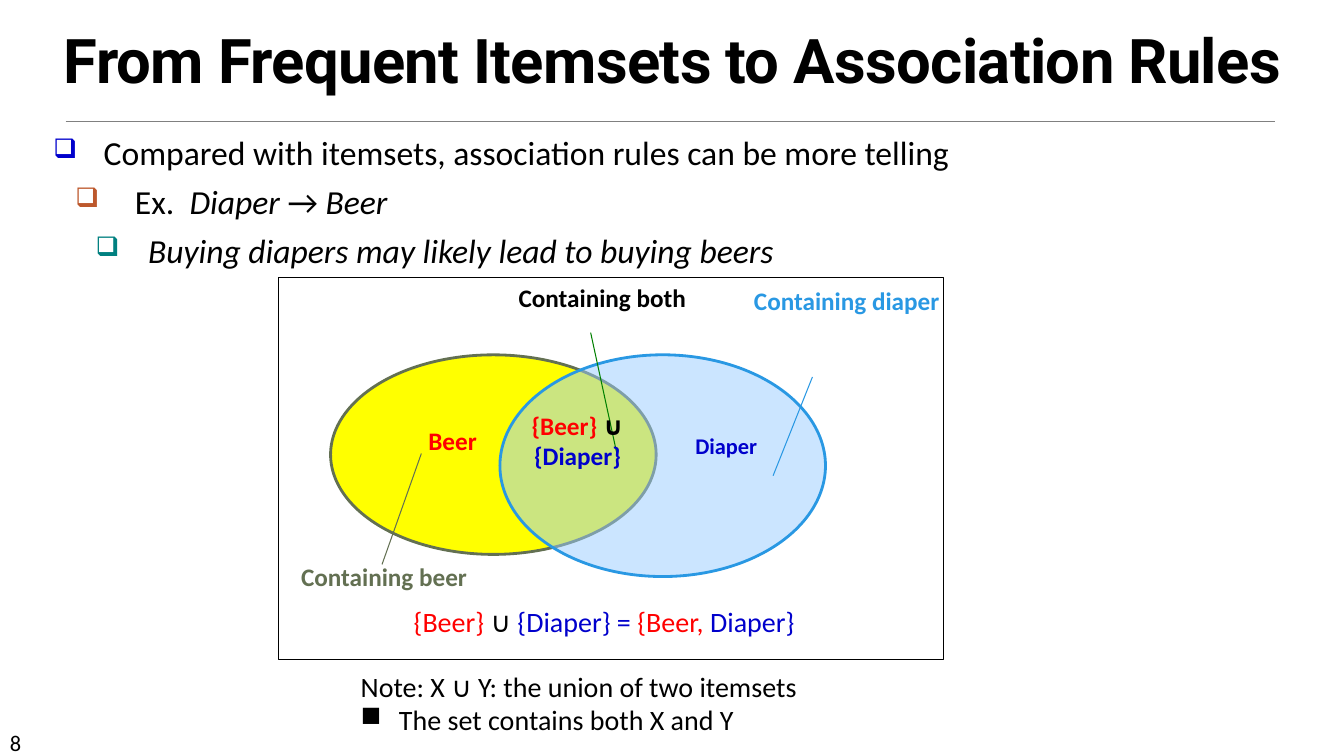
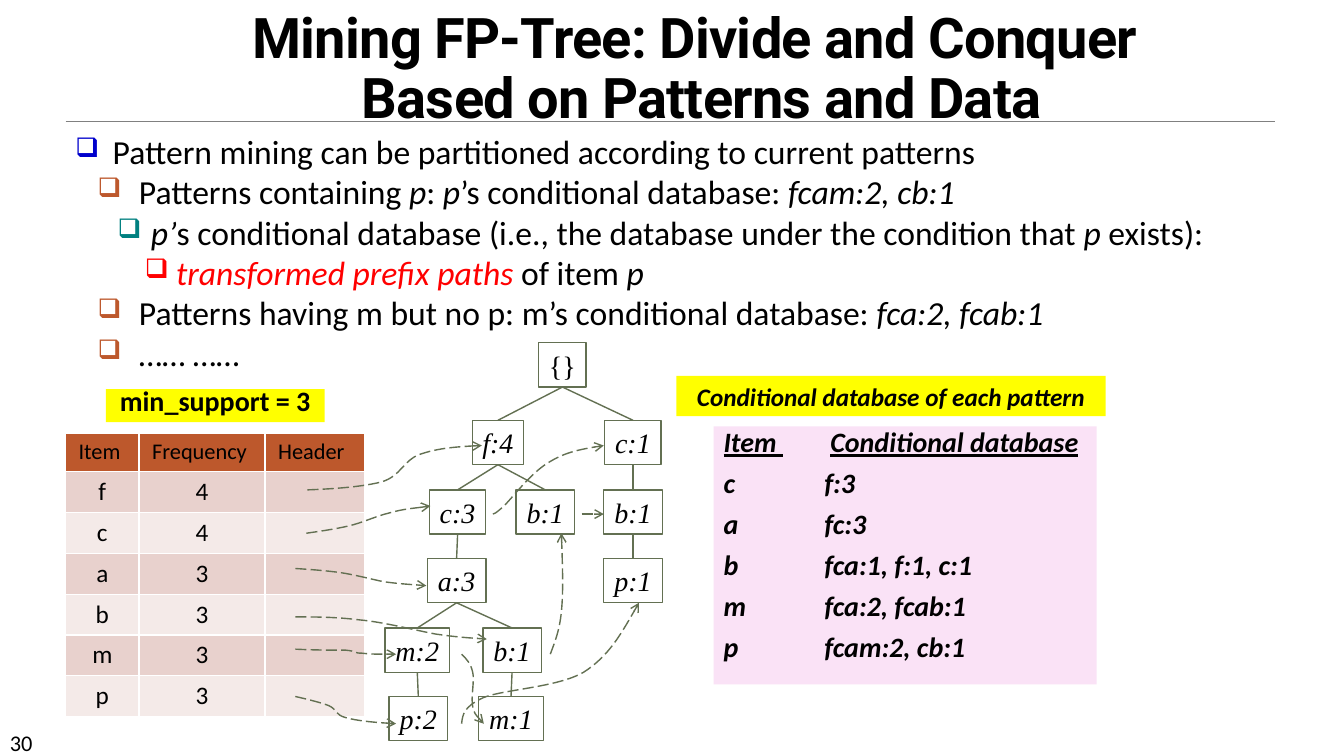
"""Build two slides on association rules and mining an FP-tree."""
import lxml.etree
import pptx
import pptx.dml.color
import pptx.enum.dml
import pptx.enum.shapes
import pptx.enum.text
import pptx.oxml.ns
import pptx.util

Inches = pptx.util.Inches
Pt = pptx.util.Pt
RGBColor = pptx.dml.color.RGBColor
SHAPE = pptx.enum.shapes.MSO_SHAPE
STRAIGHT = pptx.enum.shapes.MSO_CONNECTOR.STRAIGHT
MIDDLE = pptx.enum.text.MSO_ANCHOR.MIDDLE
LEFT = pptx.enum.text.PP_ALIGN.LEFT
CENTER = pptx.enum.text.PP_ALIGN.CENTER
qn = pptx.oxml.ns.qn

BLACK = RGBColor(0x00, 0x00, 0x00)
GRAY = RGBColor(0x80, 0x80, 0x80)
RED = RGBColor(0xFF, 0x00, 0x00)
BLUE = RGBColor(0x00, 0x00, 0xCC)
RUST = RGBColor(0xBD, 0x58, 0x2C)
TEAL = RGBColor(0x00, 0x80, 0x80)
GREEN = RGBColor(0x00, 0x80, 0x00)
OLIVE = RGBColor(0x63, 0x70, 0x52)
SKY = RGBColor(0x29, 0x98, 0xE3)
PALE_BLUE = RGBColor(0x99, 0xCC, 0xFF)
YELLOW = RGBColor(0xFF, 0xFF, 0x00)
PINK = RGBColor(0xFA, 0xE2, 0xF6)
ROW_DARK = RGBColor(0xE8, 0xD1, 0xCD)
ROW_LIGHT = RGBColor(0xF4, 0xEA, 0xE8)
LEVEL_COLORS = [BLUE, RUST, TEAL, RED]


def write(paragraph, runs, size, color=BLACK, name="Calibri", bold=False, italic=None, alignment=LEFT):
    """Fill a paragraph with runs, each a text followed by its own colour or font switches."""
    paragraph.alignment = alignment
    font = paragraph.font
    font.size, font.name, font.bold, font.italic = Pt(size), name, bold, italic
    font.color.rgb = color
    for text, *marks in runs:
        run = paragraph.add_run()
        run.text = text
        for mark in marks:
            if isinstance(mark, RGBColor):
                run.font.color.rgb = mark
            else:
                setattr(run.font, mark, True)


def draw_line(shape, color, width, arrow=False):
    """Style a line or outline without shadow; arrows are dashed."""
    shape.line.color.rgb = color
    shape.line.width = Pt(width)
    if arrow:
        shape.line.dash_style = pptx.enum.dml.MSO_LINE.LONG_DASH
        outline = shape._element.spPr.find(qn("a:ln"))
        lxml.etree.SubElement(outline, qn("a:tailEnd"), type="arrow")
    lxml.etree.SubElement(shape._element.spPr, qn("a:effectLst"))


presentation = pptx.Presentation()
presentation.slide_width = Inches(40 / 3)
presentation.slide_height = Inches(7.5)
layout = presentation.slide_layouts[5]

slide_frames = [
    ("8", "From Frequent Itemsets to Association Rules", 44, 0.85, (-0.11, 0.17, 13.56, 0.83)),
    ("30", "Mining FP-Tree: Divide and Conquer \vBased on Patterns and Data", 40, 0.9,
     (1.52, -0.09, 10.88, 1.44)),
]
for number, heading, size, spacing, box in slide_frames:
    slide = presentation.slides.add_slide(layout)
    title = slide.shapes.title
    title.left, title.top, title.width, title.height = map(Inches, box)
    frame = title.text_frame
    frame.auto_size = pptx.enum.text.MSO_AUTO_SIZE.NONE
    frame.vertical_anchor = pptx.enum.text.MSO_ANCHOR.BOTTOM
    paragraph = frame.paragraphs[0]
    paragraph.text = heading
    paragraph.line_spacing = spacing
    write(paragraph, [], size, name="Roboto", bold=True, alignment=CENTER)
    paragraph.font._element.set("spc", "-50")
    footer = slide.shapes.add_textbox(Inches(0), Inches(7.18), Inches(1.17), Inches(0.3))
    write(footer.text_frame.paragraphs[0], [(number,)], 16)

rules_slide, tree_slide = presentation.slides

rule = rules_slide.shapes.add_connector(STRAIGHT, Inches(0.65), Inches(1.2), Inches(12.65), Inches(1.2))
draw_line(rule, GRAY, 0.5)
layout.shapes._spTree.append(rule._element)

rules_outline = [
    (0, [("Compared with itemsets, association rules can be more telling",)]),
    (1, [("Ex.  ",), ("Diaper ", "italic"), ("→ ",), ("Beer", "italic")]),
    (2, [("Buying diapers may likely lead to buying beers", "italic")]),
]
tree_outline = [
    (0, [("Pattern mining can be partitioned according to current patterns",)]),
    (1, [("Patterns containing ",), ("p", "italic"), (": ",), ("p", "italic"),
         ("’s conditional database: ",), ("fcam:2, cb:1", "italic")]),
    (2, [("p’", "italic"), ("s conditional database (i.e., the database under the condition that ",),
         ("p", "italic"), (" exists):",)]),
    (3, [("transformed prefix paths ", RED, "italic"), ("of item ",), ("p", "italic")]),
    (1, [("Patterns having m but no p: m’s conditional database: ",), ("fca:2, fcab:1", "italic")]),
    (1, [("…… ……",)]),
]
bodies = [
    (rules_slide, rules_outline, (0.43, 1.26, 12.29, 6.11), 6, [(0.5, 0.5), (0.81, 0.59), (0.94, 0.52)]),
    (tree_slide, tree_outline, (0.65, 1.25, 11.67, 2.47), 0,
     [(0.37, 0.37), (0.63, 0.41), (0.75, 0.33), (1, 0.31)]),
]
for slide, outline, box, gap, indents in bodies:
    frame = slide.shapes.add_textbox(*map(Inches, box)).text_frame
    frame.word_wrap = True
    for index, (level, runs) in enumerate(outline):
        paragraph = frame.add_paragraph() if index else frame.paragraphs[0]
        paragraph.level = level
        margin, hanging = indents[level]
        properties = paragraph._p.get_or_add_pPr()
        properties.set("marL", str(Inches(margin)))
        properties.set("indent", str(-Inches(hanging)))
        bullet_color = lxml.etree.SubElement(properties, qn("a:buClr"))
        lxml.etree.SubElement(bullet_color, qn("a:srgbClr"), val=str(LEVEL_COLORS[level]))
        lxml.etree.SubElement(properties, qn("a:buSzPct"), val="80000")
        lxml.etree.SubElement(properties, qn("a:buFont"), typeface="Wingdings", charset="2")
        lxml.etree.SubElement(properties, qn("a:buChar"), char="q")
        paragraph.space_before = Pt(gap if index else 0)
        write(paragraph, runs, 24)

frame = rules_slide.shapes.add_textbox(Inches(3.48), Inches(6.59), Inches(4.72), Inches(0.77)).text_frame
frame.word_wrap = True
write(frame.paragraphs[0], [("Note: X ∪ Y: the union of two itemsets",)], 20)
paragraph = frame.add_paragraph()
properties = paragraph._p.get_or_add_pPr()
properties.set("marL", str(Inches(0.38)))
properties.set("indent", str(-Inches(0.38)))
lxml.etree.SubElement(properties, qn("a:buFont"), typeface="Wingdings", charset="2")
lxml.etree.SubElement(properties, qn("a:buChar"), char="n")
write(paragraph, [("The set contains both X and Y",)], 20)

venn_shapes = [
    (SHAPE.OVAL, (3.28, 3.52, 3.23, 1.98), YELLOW, OLIVE, 2),
    (SHAPE.OVAL, (4.96, 3.52, 3.23, 2.2), PALE_BLUE, SKY, 2),
    (SHAPE.RECTANGLE, (2.76, 2.75, 6.6, 3.79), None, BLACK, 0.75),
]
for kind, box, fill, color, width in venn_shapes:
    shape = rules_slide.shapes.add_shape(kind, *map(Inches, box))
    draw_line(shape, color, width)
    if fill is None:
        shape.fill.background()
        continue
    shape.fill.solid()
    shape.fill.fore_color.rgb = fill
    if fill == PALE_BLUE:
        fill_color = shape._element.spPr.find(qn("a:solidFill"))[0]
        lxml.etree.SubElement(fill_color, qn("a:alpha"), val="50000")

pointers = [
    ((4.18, 4.5, 3.79, 5.6), OLIVE),
    ((7.67, 4.72, 8.06, 3.74), SKY),
    ((6.12, 4.5, 5.86, 3.3), GREEN),
]
for ends, color in pointers:
    draw_line(rules_slide.shapes.add_connector(STRAIGHT, *map(Inches, ends)), color, 0.75)

venn_labels = [
    ((7.16, 2.78, 2.48, 1.08), 18, True, [("Containing diaper", SKY)]),
    ((4.79, 2.75, 2.37, 1.02), 18, True, [("Containing both",)]),
    ((2.57, 5.52, 2.48, 0.6), 18, True, [("Containing beer", OLIVE)]),
    ((3.87, 4.17, 1.24, 0.58), 18, True, [("Beer", RED)]),
    ((6.62, 4.24, 1.17, 0.53), 16, True, [("Diaper", BLUE)]),
    ((4.81, 4.02, 1.84, 1.02), 18, True, [("{Beer} ", RED), ("∪ ",), ("{Diaper}", BLUE)]),
    ((3.03, 5.95, 5.99, 0.63), 20, False,
     [("{Beer} ", RED), ("∪ ",), ("{Diaper} = ", BLUE), ("{Beer, ", RED), ("Diaper} ", BLUE)]),
]
for box, size, bold, runs in venn_labels:
    frame = rules_slide.shapes.add_textbox(*map(Inches, box)).text_frame
    frame.word_wrap = True
    write(frame.paragraphs[0], runs, size, bold=bold, alignment=CENTER)

item_rows = [("Item", "Frequency", "Header")]
item_rows += [(item, count, "") for item, count in zip("fcabmp", "443333")]
table = tree_slide.shapes.add_table(
    len(item_rows), 3, Inches(0.65), Inches(4.3), Inches(2.97), Inches(2.81)).table
for column, width in zip(table.columns, (0.73, 1.25, 0.99)):
    column.width = Inches(width)
for row_index, values in enumerate(item_rows):
    table.rows[row_index].height = Inches(2.43 / 6 if row_index else 0.38)
    for column_index, value in enumerate(values):
        cell = table.cell(row_index, column_index)
        cell.margin_left = cell.margin_right = Inches(0.13)
        cell.fill.solid()
        cell.fill.fore_color.rgb = (ROW_DARK if row_index % 2 else ROW_LIGHT) if row_index else RUST
        if value:
            write(cell.text_frame.paragraphs[0], [(value,)], 18 if row_index else 16,
                  alignment=CENTER if row_index else LEFT)

level_tops = [3.4, 4.17, 4.86, 5.54, 6.23, 6.91]
tree_nodes = [
    ("{}", 5.58, 0, 0.47, None),
    ("f:4", 4.94, 1, 0.51, 0),
    ("c:1", 6.28, 1, 0.56, 0),
    ("c:3", 4.54, 2, 0.56, 1),
    ("b:1", 5.41, 2, 0.58, 1),
    ("b:1", 6.28, 2, 0.58, 2),
    ("a:3", 4.53, 3, 0.58, 3),
    ("p:1", 6.28, 3, 0.58, 5),
    ("m:2", 4.14, 4, 0.64, 6),
    ("b:1", 5.08, 4, 0.58, 6),
    ("p:2", 4.15, 5, 0.58, 8),
    ("m:1", 5.07, 5, 0.64, 9),
]
node_shapes = []
for text, center, level, width, parent in tree_nodes:
    node = tree_slide.shapes.add_shape(
        SHAPE.RECTANGLE, Inches(center - width / 2), Inches(level_tops[level]), Inches(width), Inches(0.44))
    node.fill.background()
    draw_line(node, OLIVE, 1)
    node.text_frame.word_wrap = False
    node.text_frame.vertical_anchor = MIDDLE
    write(node.text_frame.paragraphs[0], [(text,)], 20, name="Times New Roman",
          italic=level > 0, alignment=CENTER)
    node_shapes.append(node)
    if parent is not None:
        edge = tree_slide.shapes.add_connector(STRAIGHT, 0, 0, 0, 0)
        edge.begin_connect(node_shapes[parent], 2)
        edge.end_connect(node, 0)
        draw_line(edge, OLIVE, 1)

header_links = [
    [(3.05, 4.86), (3.32, 4.85), (3.6, 4.83), (3.79, 4.78), (3.98, 4.72), (4, 4.57), (4.16, 4.51),
     (4.33, 4.45), (4.55, 4.43), (4.78, 4.42)],
    [(4.89, 5.1), (4.9, 5.1), (4.91, 5.1), (5, 5.02), (5.09, 4.93), (5.27, 4.69), (5.44, 4.59),
     (5.6, 4.49), (5.79, 4.45), (5.99, 4.42)],
    [(2.93, 5.64), (3.08, 5.65), (3.22, 5.66), (3.37, 5.68), (3.51, 5.7), (3.66, 5.74), (3.8, 5.77),
     (3.94, 5.79), (4.09, 5.8), (4.23, 5.81)],
    [(2.93, 6.12), (3.13, 6.12), (3.33, 6.12), (3.57, 6.15), (3.8, 6.17), (4.11, 6.25), (4.32, 6.29),
     (4.53, 6.32), (4.68, 6.33), (4.83, 6.34)],
    [(5.46, 6.49), (5.5, 6.38), (5.55, 6.27), (5.57, 6.07), (5.59, 5.87), (5.58, 5.58), (5.57, 5.29)],
    [(2.93, 6.44), (3.13, 6.45), (3.32, 6.45), (3.43, 6.45), (3.54, 6.46), (3.51, 6.48), (3.59, 6.48),
     (3.68, 6.49), (3.8, 6.49), (3.93, 6.49)],
    [(4.58, 6.49), (4.63, 6.54), (4.67, 6.58), (4.69, 6.67), (4.71, 6.75), (4.67, 6.92), (4.69, 7.01),
     (4.71, 7.09), (4.76, 7.14), (4.8, 7.18)],
    [(2.93, 6.91), (3.06, 6.94), (3.18, 6.97), (3.26, 7), (3.35, 7.04), (3.32, 7.09), (3.43, 7.12),
     (3.54, 7.15), (3.73, 7.17), (3.93, 7.18)],
    [(4.58, 7.18), (4.59, 7.09), (4.6, 7.01), (4.8, 6.92), (5, 6.84), (5.53, 6.82), (5.79, 6.67),
     (6.04, 6.51), (6.19, 6.24), (6.34, 5.98)],
    [(3.04, 5.29), (3.18, 5.27), (3.32, 5.25), (3.45, 5.22), (3.59, 5.19), (3.73, 5.12), (3.86, 5.09),
     (4, 5.05), (4.14, 5.04), (4.27, 5.02)],
]
for controls in header_links:
    start, *others = [(Inches(x), Inches(y)) for x, y in controls]
    builder = tree_slide.shapes.build_freeform(*start)
    builder.add_line_segments(others, close=False)
    curve = builder.convert_to_shape()
    segments = list(curve._element.spPr.iter(qn("a:lnTo")))
    for index, segment in enumerate(segments):
        if index % 3 == 0:
            bezier = lxml.etree.SubElement(segment.getparent(), qn("a:cubicBezTo"))
        bezier.append(segment[0])
        segment.getparent().remove(segment)
    curve.fill.background()
    draw_line(curve, OLIVE, 1, arrow=True)
side_link = tree_slide.shapes.add_connector(STRAIGHT, Inches(5.77), Inches(5.1), Inches(5.99), Inches(5.1))
draw_line(side_link, OLIVE, 1, arrow=True)

panels = []
for box, fill in [((7.08, 4.23, 3.8, 2.56), PINK), ((6.71, 3.73, 4.26, 0.4), YELLOW),
                  ((1.05, 3.86, 2.17, 0.33), YELLOW)]:
    panel = tree_slide.shapes.add_shape(SHAPE.RECTANGLE, *map(Inches, box))
    panel.shadow.inherit = False
    panel.fill.solid()
    panel.fill.fore_color.rgb = fill
    panel.line.fill.background()
    panel.text_frame.word_wrap = True
    panels.append(panel.text_frame)

database_frame, caption_frame, support_frame = panels
for frame, text, size, italic, spacing in [
        (caption_frame, "Conditional database of each pattern", 18, True, 1.0),
        (support_frame, "min_support = 3", 20, False, 0.6)]:
    frame.margin_top = frame.margin_bottom = 0
    frame.vertical_anchor = MIDDLE
    frame.paragraphs[0].line_spacing = spacing
    write(frame.paragraphs[0], [(text,)], size, bold=True, italic=italic, alignment=CENTER)

database_rows = [("c", "f:3"), ("a", "fc:3"), ("b", "fca:1, f:1, c:1"), ("m", "fca:2, fcab:1"),
                 ("p", "fcam:2, cb:1")]
database_lines = [(1.06, [("Item ", "underline"), ("\t",), ("Conditional database", "underline")])]
database_lines += [(1, [(f"{item}\t{patterns}",)]) for item, patterns in database_rows]
database_frame.vertical_anchor = pptx.enum.text.MSO_ANCHOR.TOP
for index, (tab, runs) in enumerate(database_lines):
    paragraph = database_frame.add_paragraph() if index else database_frame.paragraphs[0]
    tabs = lxml.etree.SubElement(paragraph._p.get_or_add_pPr(), qn("a:tabLst"))
    lxml.etree.SubElement(tabs, qn("a:tab"), pos=str(Inches(tab)), algn="l")
    paragraph.line_spacing = 0.8
    paragraph.space_before = Pt(10 if index else 0)
    write(paragraph, runs, 20, bold=True, italic=True)

presentation.save("out.pptx")
